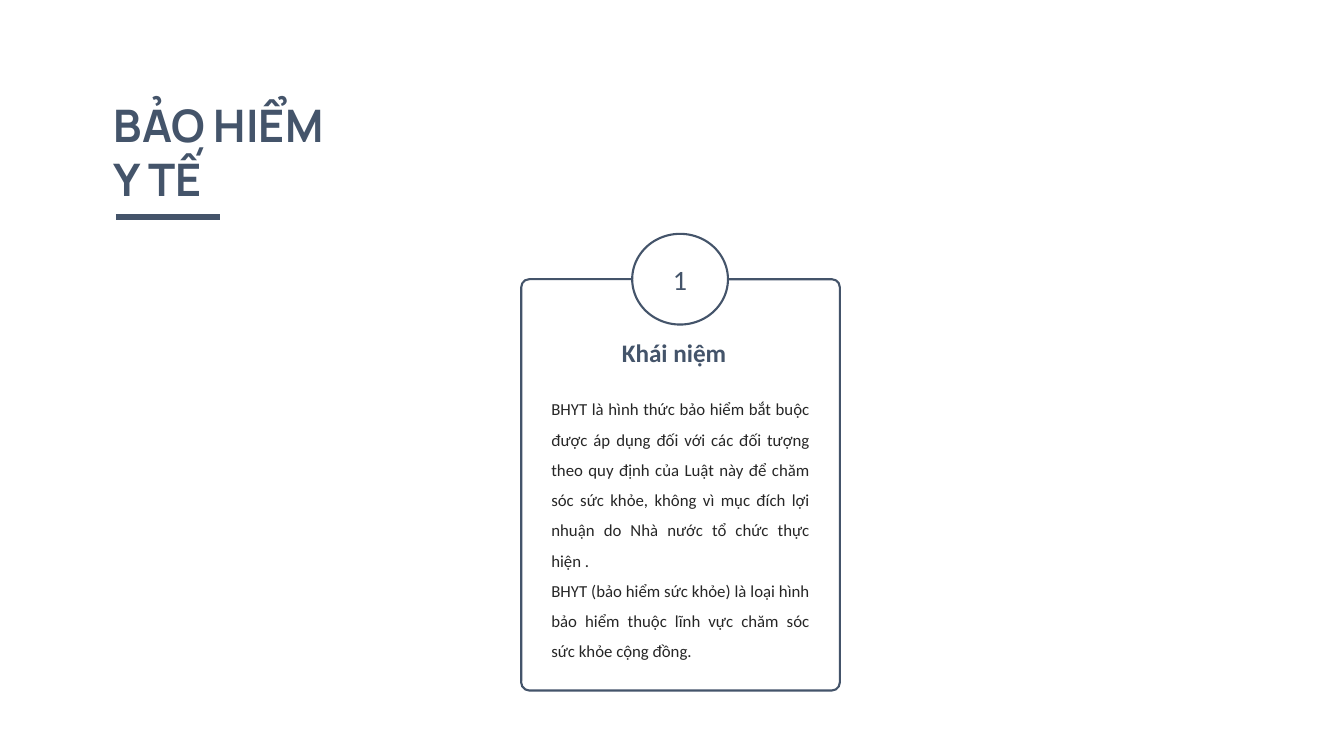
from lxml.etree import SubElement
from pptx import Presentation
from pptx.dml.color import RGBColor
from pptx.enum.shapes import MSO_CONNECTOR as Connector, MSO_SHAPE as Shape
from pptx.enum.text import MSO_ANCHOR as Anchor, PP_ALIGN as Align
from pptx.oxml.ns import qn
from pptx.util import Inches, Pt

COLORS = {"slate": "44546A", "body": "262626", "white": "FFFFFF"}


class SlideBuilder:
    def __init__(self, slide):
        self.slide = slide
        self.outline = 1.5

    def color(self, name):
        return RGBColor.from_string(COLORS[name])

    def rule(self, left, top, right, width):
        line = self.slide.shapes.add_connector(
            Connector.STRAIGHT, Inches(left), Inches(top), Inches(right), Inches(top))
        line.line.color.rgb = self.color("slate")
        line.line.width = Pt(width)
        SubElement(line._element.spPr, qn("a:effectLst"))

    def outlined(self, kind, left, top, width, height, fill=None):
        shape = self.slide.shapes.add_shape(
            kind, Inches(left), Inches(top), Inches(width), Inches(height))
        shape.shadow.inherit = False
        if fill:
            shape.fill.solid()
            shape.fill.fore_color.rgb = self.color(fill)
        else:
            shape.fill.background()
        shape.line.color.rgb = self.color("slate")
        shape.line.width = Pt(self.outline)
        return shape

    def fill_text(self, shape, lines, size, color="slate", font="Calibri",
                  bold=False, align=Align.LEFT, spacing=None):
        frame = shape.text_frame
        frame.word_wrap = True
        for index, line in enumerate(lines):
            paragraph = frame.add_paragraph() if index else frame.paragraphs[0]
            paragraph.alignment = align
            paragraph.line_spacing = spacing
            run = paragraph.add_run()
            run.text = line
            run.font.name = font
            run.font.size = Pt(size)
            run.font.bold = bold
            run.font.color.rgb = self.color(color)

    def text(self, left, top, width, height, lines, size, **style):
        box = self.slide.shapes.add_textbox(
            Inches(left), Inches(top), Inches(width), Inches(height))
        self.fill_text(box, lines, size, **style)


def main():
    presentation = Presentation()
    presentation.slide_width = Inches(13.33)
    presentation.slide_height = Inches(7.5)
    builder = SlideBuilder(presentation.slides.add_slide(presentation.slide_layouts[6]))

    builder.rule(1.15, 2.15, 2.18, 4.5)

    card = builder.outlined(Shape.ROUNDED_RECTANGLE, 5.17, 2.77, 3.16, 4.08)
    card.adjustments[0] = 0.025

    badge = builder.outlined(Shape.OVAL, 6.27, 2.32, 0.95, 0.9, fill="white")
    badge.text_frame.vertical_anchor = Anchor.MIDDLE
    builder.fill_text(badge, ["1"], 20, align=Align.CENTER)

    builder.text(5.37, 3.81, 2.76, 2.79, [
        "BHYT là hình thức bảo hiểm bắt buộc được áp dụng đối với các đối tượng "
        "theo quy định của Luật này để chăm sóc sức khỏe, không vì mục đích lợi "
        "nhuận do Nhà nước tổ chức thực hiện .",
        "BHYT (bảo hiểm sức khỏe) là loại hình bảo hiểm thuộc lĩnh vực chăm sóc "
        "sức khỏe cộng đồng.",
    ], 12, color="body", align=Align.JUSTIFY, spacing=1.5)
    builder.text(5.69, 3.3, 1.99, 0.4, ["Khái niệm"], 18, bold=True, align=Align.CENTER)
    builder.text(1.03, 0.92, 2.54, 1.18, ["BẢO HIỂM", "Y TẾ"], 32,
                 font="Manrope", bold=True)

    presentation.save("out.pptx")


if __name__ == "__main__":
    main()
